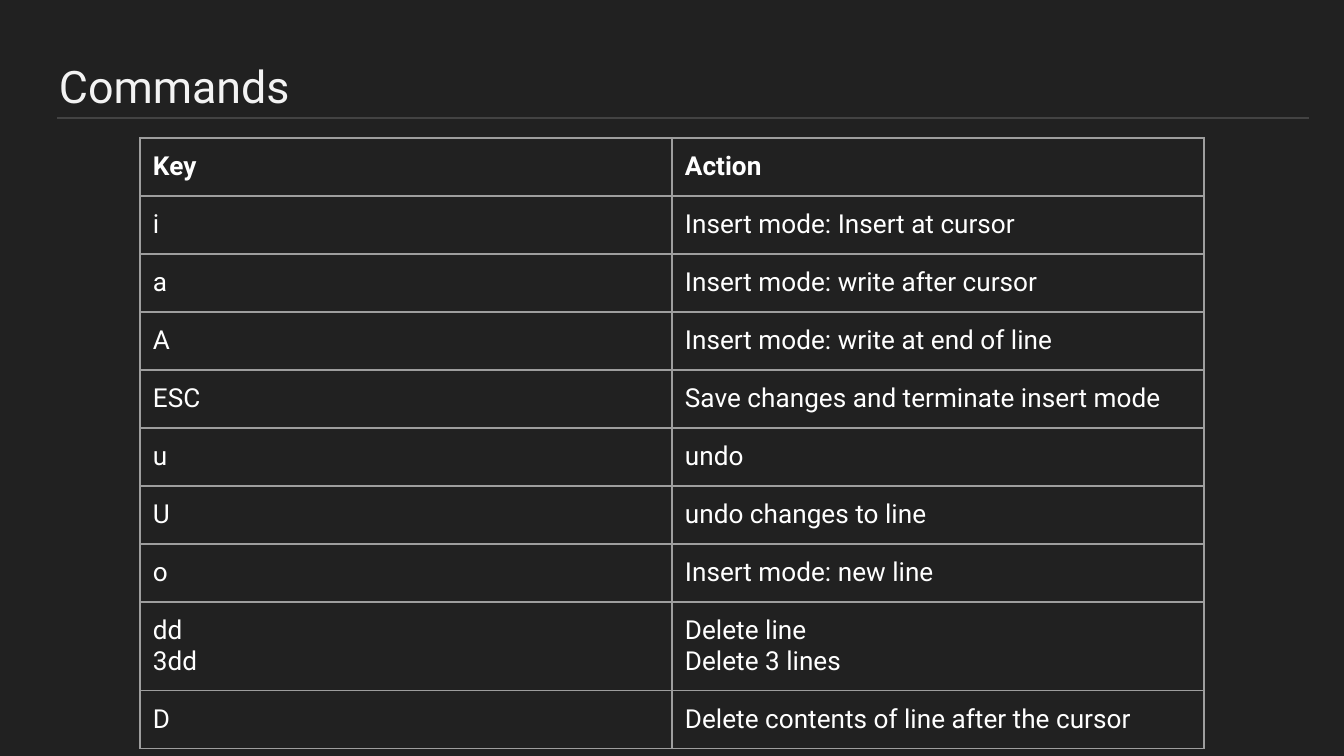
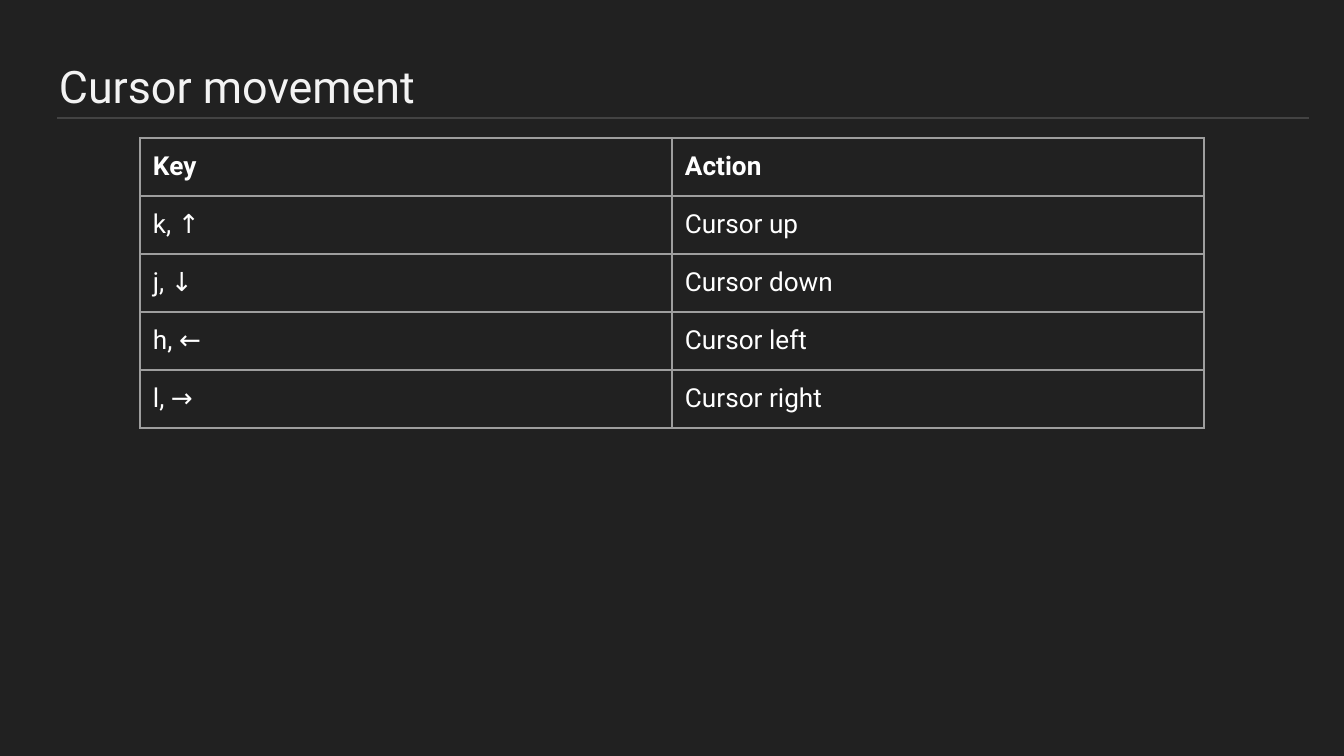
from pptx import Presentation
from pptx.dml.color import RGBColor
from pptx.enum.shapes import MSO_CONNECTOR as Connector
from pptx.enum.text import MSO_ANCHOR as Anchor
from pptx.oxml.ns import qn
from pptx.util import Pt
from lxml.etree import SubElement

EMU_PER_PX = 914400 / 134.4
FONT = "Roboto"
BACKGROUND = "212121"
TITLE_COLOR = "F3F3F3"
RULE_COLOR = "434343"
BODY_COLOR = "FFFFFF"
BORDER_COLOR = "9E9E9E"
LINE_WIDTH = Pt(0.75)
INSET = 13
TABLE_LEFT, TABLE_TOP, COLUMN_WIDTH = 140, 138, 532
ROW_HEIGHT, EXTRA_LINE = 58, 29

HEADER = ("Key", "Action")
COMMANDS = [
    ("i", "Insert mode: Insert at cursor"),
    ("a", "Insert mode: write after cursor"),
    ("A", "Insert mode: write at end of line"),
    ("ESC", "Save changes and terminate insert mode"),
    ("u", "undo"),
    ("U", "undo changes to line"),
    ("o", "Insert mode: new line"),
    ("dd\n3dd", "Delete line\nDelete 3 lines"),
    ("D", "Delete contents of line after the cursor"),
]
MOVEMENTS = [
    ("k, ↑", "Cursor up"),
    ("j, ↓", "Cursor down"),
    ("h, ←", "Cursor left"),
    ("l, →", "Cursor right"),
]


def px(length):
    return round(length * EMU_PER_PX)


def color(value):
    return RGBColor.from_string(value)


def write(frame, text, size=14, fill=BODY_COLOR, bold=False):
    frame.word_wrap = True
    frame.text = text
    for paragraph in frame.paragraphs:
        for run in paragraph.runs:
            run.font.name = FONT
            run.font.size = Pt(size)
            run.font.bold = bold
            run.font.color.rgb = color(fill)


def set_insets(holder):
    holder.margin_left = holder.margin_right = px(INSET)
    holder.margin_top = holder.margin_bottom = px(INSET)


def add_title(slide, text):
    frame = slide.shapes.add_textbox(px(46), px(43), px(1253), px(85)).text_frame
    set_insets(frame)
    frame.vertical_anchor = Anchor.MIDDLE
    write(frame, text, size=24, fill=TITLE_COLOR)


def add_rule(slide):
    rule = slide.shapes.add_connector(
        Connector.STRAIGHT, px(57), px(118), px(1309), px(118))
    rule.line.color.rgb = color(RULE_COLOR)
    rule.line.width = LINE_WIDTH
    SubElement(rule.element.spPr, qn("a:effectLst"))


def add_borders(cell):
    properties = cell._tc.get_or_add_tcPr()
    for position, side in enumerate(("lnL", "lnR", "lnT", "lnB")):
        border = properties.makeelement(qn(f"a:{side}"), {"w": str(LINE_WIDTH)})
        fill = SubElement(border, qn("a:solidFill"))
        SubElement(fill, qn("a:srgbClr"), val=BORDER_COLOR)
        properties.insert(position, border)


def add_key_table(slide, entries):
    rows = [HEADER, *entries]
    heights = [ROW_HEIGHT + EXTRA_LINE * key.count("\n") for key, _ in rows]
    table = slide.shapes.add_table(
        len(rows), len(HEADER), px(TABLE_LEFT), px(TABLE_TOP),
        px(COLUMN_WIDTH * len(HEADER)), px(sum(heights))).table
    table.first_row = table.horz_banding = False
    for column in table.columns:
        column.width = px(COLUMN_WIDTH)
    for r, (texts, height) in enumerate(zip(rows, heights)):
        table.rows[r].height = px(height)
        for c, text in enumerate(texts):
            cell = table.cell(r, c)
            set_insets(cell)
            cell.fill.background()
            add_borders(cell)
            write(cell.text_frame, text, bold=r == 0)


def add_key_slide(deck, title, entries):
    slide = deck.slides.add_slide(deck.slide_layouts[6])
    slide.background.fill.solid()
    slide.background.fill.fore_color.rgb = color(BACKGROUND)
    add_title(slide, title)
    add_rule(slide)
    add_key_table(slide, entries)


def main():
    deck = Presentation()
    deck.slide_width, deck.slide_height = px(1344), px(756)
    add_key_slide(deck, "Commands", COMMANDS)
    add_key_slide(deck, "Cursor movement", MOVEMENTS)
    deck.save("out.pptx")


if __name__ == "__main__":
    main()
